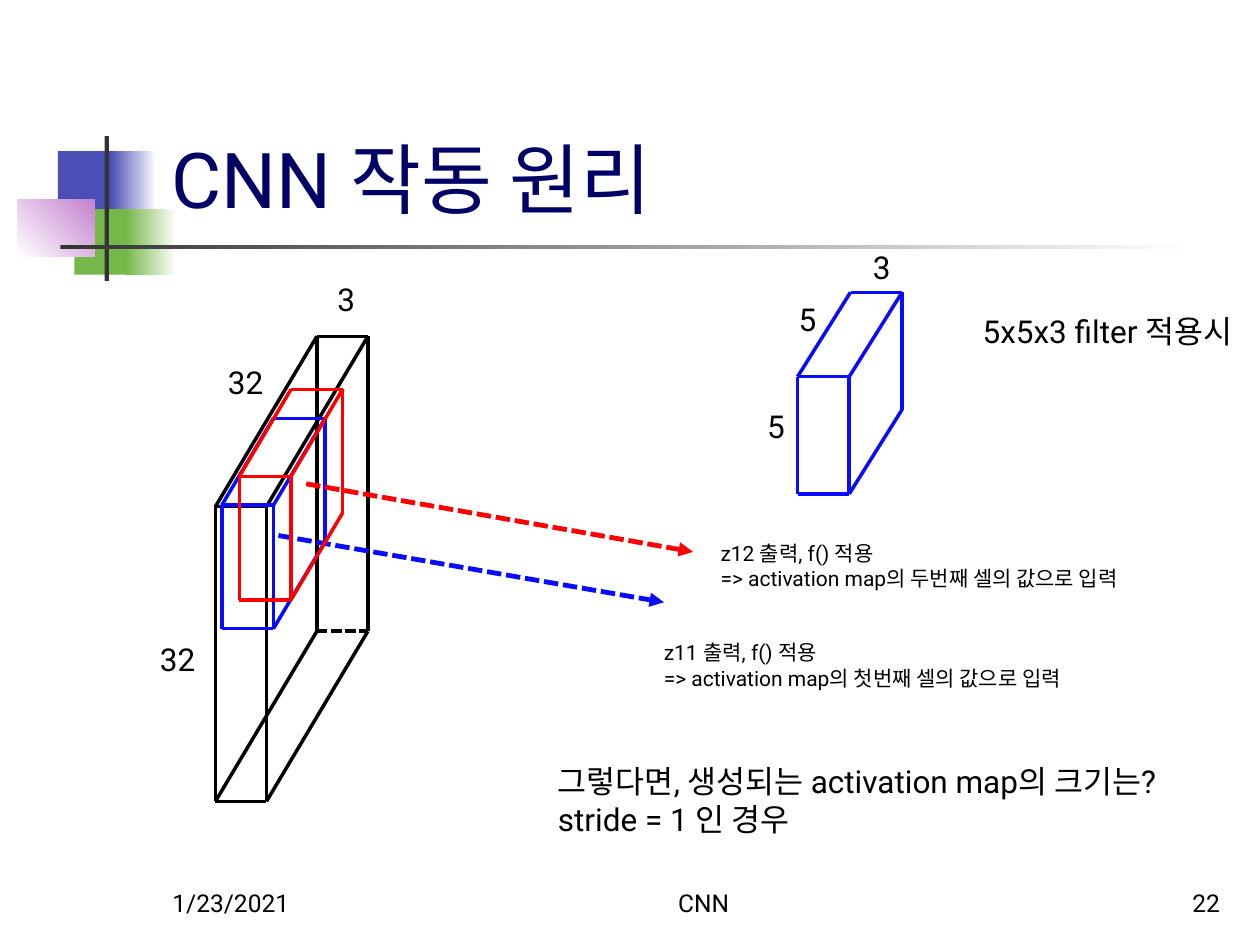
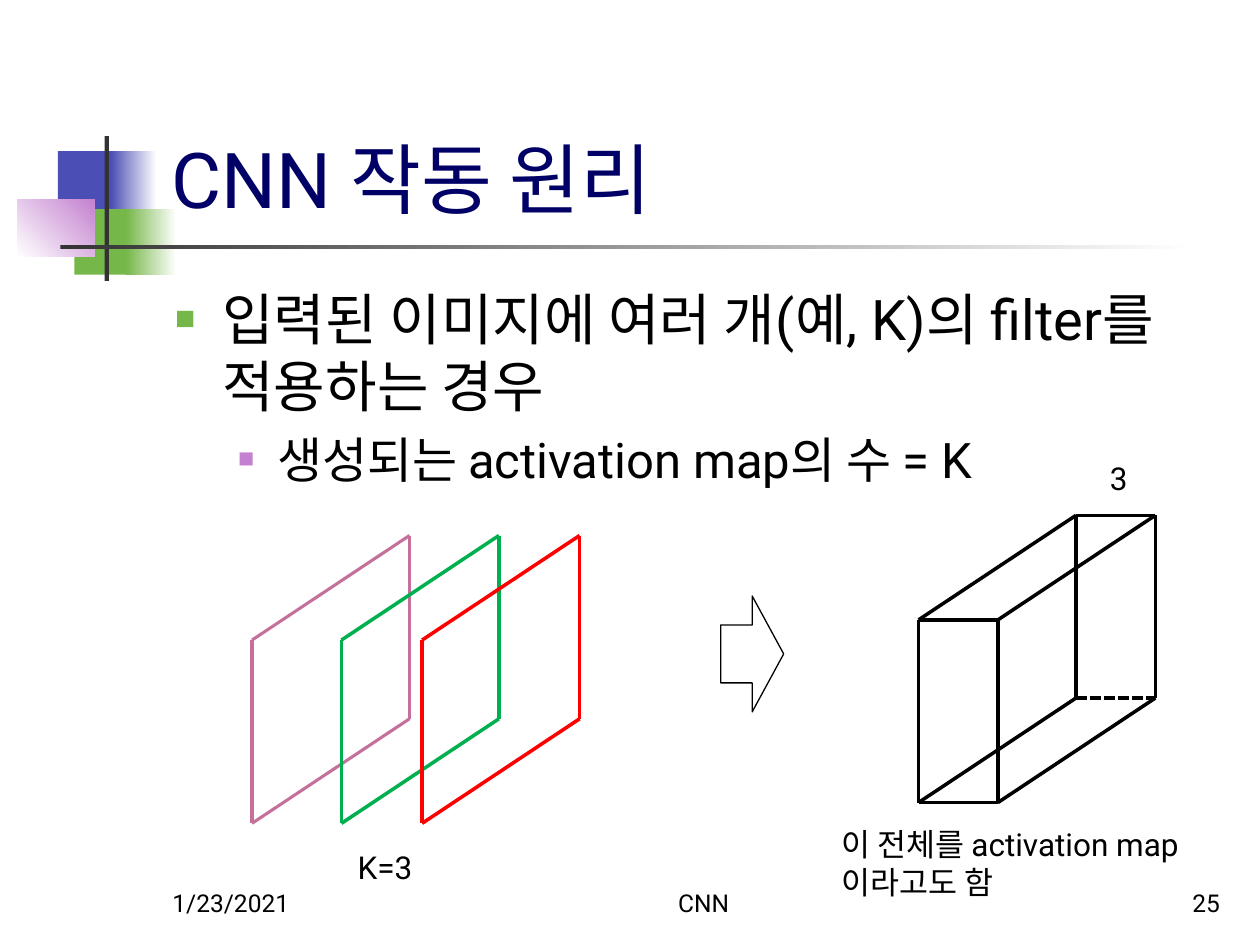
from lxml import etree
from pptx import Presentation
from pptx import util as u
from pptx.dml.color import RGBColor
from pptx.enum import dml, shapes, text
from pptx.oxml import ns

HUE = {
    "ink": "000000", "title": "000066", "bar": "333333", "white": "FFFFFF",
    "navy": "4B4EB5", "green": "76B749", "lilac": "C481CF",
    "blue": "0A0AFF", "red": "FF0000", "rose": "C4709A", "leaf": "00B050",
}
RGB = {name: RGBColor.from_string(code) for name, code in HUE.items()}
FONT = "Roboto"

deck = Presentation()
deck.slide_width, deck.slide_height = u.Inches(10), u.Inches(7.5)
CELL = deck.slide_width // 100  # grid of 100 columns by 75 rows


def write(slide, box, lines, size=18, align=text.PP_ALIGN.LEFT, fixed=False):
    """Add text; fixed boxes wrap and sit on their lower edge."""
    frame = slide.shapes.add_textbox(*(int(n * CELL) for n in box)).text_frame
    frame.word_wrap = fixed
    if fixed:
        frame.vertical_anchor = text.MSO_ANCHOR.BOTTOM
    else:
        frame.auto_size = text.MSO_AUTO_SIZE.SHAPE_TO_FIT_TEXT
    for i, line in enumerate(lines):
        para = frame.paragraphs[0] if i == 0 else frame.add_paragraph()
        para.text, para.alignment = line, align
        para.font.name, para.font.size = FONT, u.Pt(size)
        para.font.color.rgb = RGB["ink"]


def draw(slide, start, end, hue, width=2, dash=False, arrow=False):
    """Add a straight line between two grid points."""
    line = slide.shapes.add_connector(
        shapes.MSO_CONNECTOR.STRAIGHT, *(int(n * CELL) for n in start + end))
    line.line.color.rgb, line.line.width = RGB[hue], u.Pt(width)
    if dash:
        line.line.dash_style = dml.MSO_LINE.SQUARE_DOT
    if arrow:
        etree.SubElement(line.line._get_or_add_ln(), ns.qn("a:tailEnd"), type="triangle")
    etree.SubElement(line._element.spPr, ns.qn("a:effectLst"))


# Shared parts: box, fill, optional second gradient colour and angle
BANDS = [
    ((4.6, 12, 4.8, 5.2), "navy", None, 0),
    ((8.8, 12, 3.6, 5.2), "navy", "white", 0),
    ((5.9, 16.6, 4.6, 5.2), "green", None, 0),
    ((10, 16.6, 4, 5.2), "green", "white", 0),
    ((1.4, 15.8, 6.1, 4.6), "white", "lilac", 45),
    ((8.3, 10.8, 0.35, 11.5), "bar", None, 0),
    ((4.8, 19.45, 90, 0.35), "bar", "white", 0),
]
LEFT, MID, RIGHT = text.PP_ALIGN.LEFT, text.PP_ALIGN.CENTER, text.PP_ALIGN.RIGHT

# Wire boxes: a b c d are the front corners clockwise, A B C D the back ones
SHEET = "aA ad AD Dd"
FILTER = "aA bB ab AB ad bc BC Cc dc"
BLOCK = SHEET + " bB bc BC Cc ab AB dc DC"

# Each wire: left, top, width, height, depth right, depth up, edges, hue, arrow
PAGES = [
    {
        "num": "22", "layout": 5, "list": [],
        "wires": [
            (17.1, 40.2, 4.05, 23.4, 8.05, 13.5, BLOCK, "ink", None),
            (63.3, 29.9, 4.1, 9.3, 4.2, 6.7, FILTER, "blue", None),
            (17.6, 40.1, 4.1, 9.8, 4.1, 6.9, FILTER, "blue",
             ((22.1, 42.5), (52.7, 47.8))),
            (19, 37.8, 4.1, 9.8, 4.1, 6.9, FILTER, "red",
             ((24.3, 38.4), (55, 43.8))),
        ],
        "notes": [
            ((25.8, 21.7, 3.4, 4), ["3"], 18),
            ((17.1, 28.3, 4.8, 4), ["32"], 18),
            ((11.7, 50.3, 4.8, 4), ["32"], 18),
            ((68.3, 19.2, 3.4, 4), ["3"], 18),
            ((62.4, 23.3, 3.4, 4), ["5"], 18),
            ((59.9, 31.8, 3.4, 4), ["5"], 18),
            ((77, 24.3, 22.9, 4), ["5x5x3 filter 적용시"], 18),
            ((51.7, 50.3, 36.5, 5),
             ["z11 출력, f() 적용", "=> activation map의 첫번째 셀의 값으로 입력"], 12),
            ((56.2, 42.4, 36.5, 5),
             ["z12 출력, f() 적용", "=> activation map의 두번째 셀의 값으로 입력"], 12),
            ((43.3, 60, 52.9, 7.1),
             ["그렇다면, 생성되는 activation map의 크기는?", "stride = 1 인 경우"], 18),
        ],
    },
    {
        "num": "25", "layout": 1,
        # Level, text, size, indent, hang, bullet hue, bullet percent
        "list": [
            (0, "입력된 이미지에 여러 개(예, K)의 filter를 적용하는 경우", 32, 3.75, 3.75, "green", 60),
            (1, "생성되는 activation map의 수 = K", 28, 8.1, 3.1, "lilac", 55),
        ],
        "wires": [
            *((x, 50.8, 0, 14.55, 12.5, 8.3, SHEET, hue, None)
              for x, hue in [(20, "rose"), (27.1, "leaf"), (33.5, "red")]),
            (72.9, 49.2, 6.3, 14.5, 12.5, 8.3, BLOCK, "ink", None),
        ],
        "notes": [
            ((27.4, 66.8, 6.7, 4), ["K=3"], 18),
            ((87.1, 35.9, 3.4, 4), ["3"], 18),
            ((65.8, 65, 30, 7.1), ["이 전체를 activation map", "이라고도 함"], 18),
        ],
    },
]

for page in PAGES:
    slide = deck.slides.add_slide(deck.slide_layouts[page["layout"]])

    # Corner squares and rules, kept behind the placeholders
    for i, (box, hue, fade, angle) in enumerate(BANDS):
        band = slide.shapes.add_shape(
            shapes.MSO_SHAPE.RECTANGLE, *(int(n * CELL) for n in box))
        band.shadow.inherit = False
        band.line.fill.background()
        if fade:
            band.fill.gradient()
            band.fill.gradient_angle = angle
            for stop, tone in zip(band.fill.gradient_stops, (hue, fade)):
                stop.color.rgb = RGB[tone]
        else:
            band.fill.solid()
            band.fill.fore_color.rgb = RGB[hue]
        slide.shapes._spTree.insert(2 + i, band._element)

    # Title
    title = slide.shapes.title
    title.left, title.top, title.width, title.height = (
        int(n * CELL) for n in (12.6, 2.3, 85.2, 16))
    frame = title.text_frame
    frame.text = "CNN 작동 원리"
    frame.auto_size = text.MSO_AUTO_SIZE.NONE
    frame.vertical_anchor = text.MSO_ANCHOR.BOTTOM
    para = frame.paragraphs[0]
    para.alignment = LEFT
    para.font.name, para.font.size = FONT, u.Pt(44)
    para.font.color.rgb = RGB["title"]

    # Bulleted list
    if page["list"]:
        body = slide.placeholders[1]
        body.left, body.top, body.width, body.height = (
            int(n * CELL) for n in (12.9, 22.1, 85, 45))
        frame = body.text_frame
        frame.auto_size = text.MSO_AUTO_SIZE.NONE
        for i, (level, words, size, pad, hang, hue, share) in enumerate(page["list"]):
            para = frame.paragraphs[0] if i == 0 else frame.add_paragraph()
            para.text, para.level = words, level
            para.font.name, para.font.size = FONT, u.Pt(size)
            para.font.color.rgb = RGB["ink"]
            props = para._p.get_or_add_pPr()
            props.set("marL", str(int(pad * CELL)))
            props.set("indent", str(int(-hang * CELL)))
            tint = etree.Element(ns.qn("a:buClr"))
            etree.SubElement(tint, ns.qn("a:srgbClr"), val=HUE[hue])
            scale = etree.Element(ns.qn("a:buSzPct"), val=str(share * 1000))
            mark = etree.Element(ns.qn("a:buChar"), char="■")
            for spot, part in enumerate((tint, scale, mark)):
                props.insert(spot, part)

    # Footer
    for x, width, words, align in [
            (12.7, 20.8, "1/23/2021", LEFT), (40, 31.7, "CNN", MID),
            (77, 20.8, page["num"], RIGHT)]:
        write(slide, (x, 68.3, width, 5), [words], 14, align, fixed=True)

    # Wire boxes and their arrows
    for x, y, w, h, dx, dy, edges, hue, arrow in page["wires"]:
        spots = {"a": (x, y), "b": (x + w, y), "c": (x + w, y + h), "d": (x, y + h)}
        spots |= {key.upper(): (px + dx, py - dy) for key, (px, py) in spots.items()}
        for start, end in edges.split():
            draw(slide, spots[start], spots[end], hue,
                 width=1.75 if hue == "rose" else 2, dash=start + end == "DC")
        if arrow:
            draw(slide, *arrow, hue, 2.75, dash=True, arrow=True)

    # Labels
    for box, lines, size in page["notes"]:
        write(slide, box, lines, size)

# Block arrow from the sheets to the stacked result
arrow = slide.shapes.add_shape(
    shapes.MSO_SHAPE.RIGHT_ARROW, *(int(n * CELL) for n in (57.2, 47.3, 5, 9.2)))
arrow.shadow.inherit = False
arrow.fill.background()
arrow.line.color.rgb, arrow.line.width = RGB["ink"], u.Pt(0.75)

deck.save("out.pptx")
